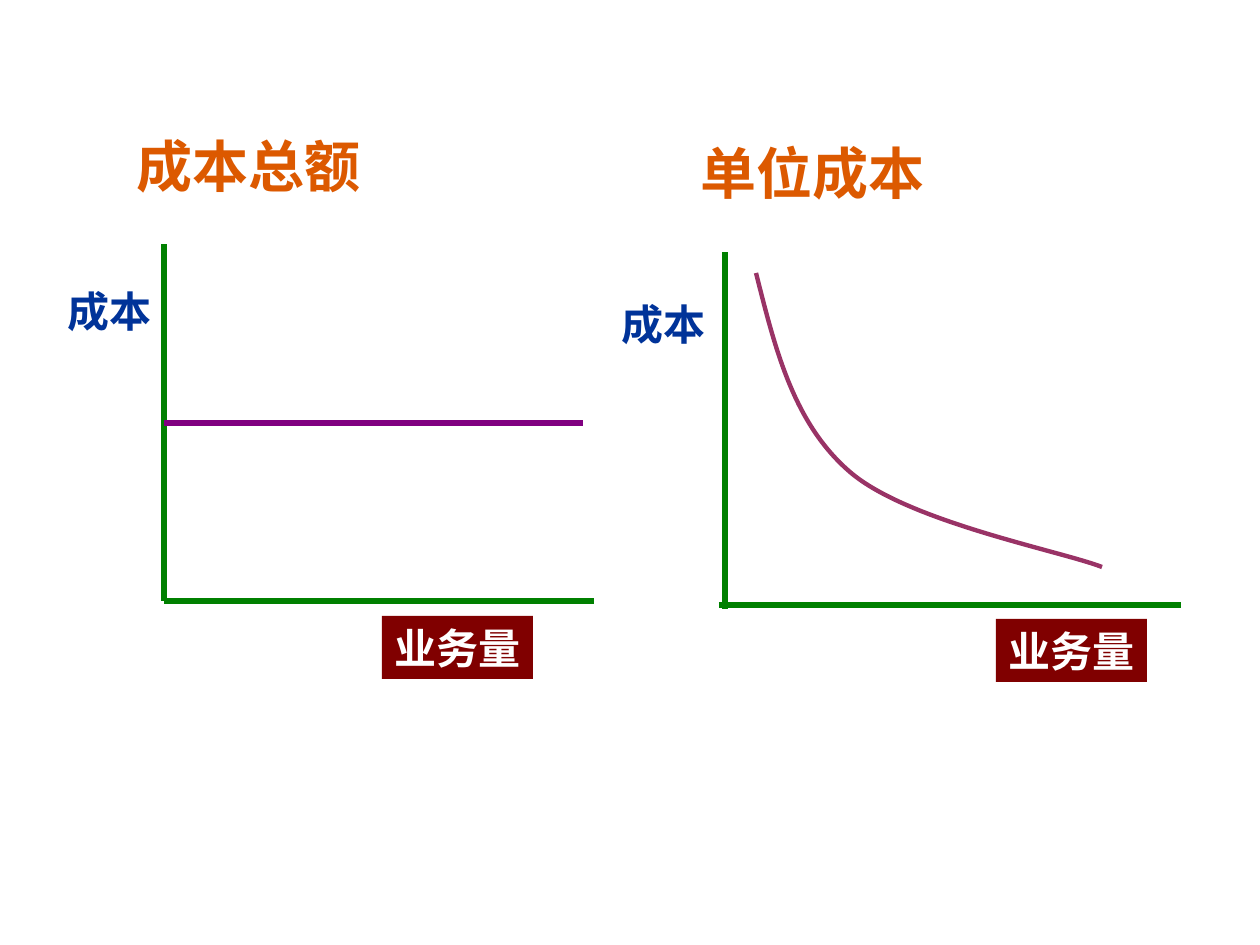
from lxml import etree
from pptx import Presentation
from pptx.dml.color import RGBColor
from pptx.enum.shapes import MSO_CONNECTOR
from pptx.enum.text import MSO_AUTO_SIZE
from pptx.oxml.ns import qn
from pptx.util import Emu, Pt

EMU_PER_PX = 914400 / 126
STRAIGHT = MSO_CONNECTOR.STRAIGHT
FIT_SHAPE = MSO_AUTO_SIZE.SHAPE_TO_FIT_TEXT

AXIS, TOTAL_COST, UNIT_COST = "008000", "800080", "993366"
TITLE, COST, VOLUME_FILL, WHITE = "DC5900", "003399", "800000", "FFFFFF"

# Each width leaves a little room so that the text stays on one line.
TITLE_SIZE, COST_SIZE, VOLUME_SIZE = (254, 81), (113, 63), (151, 63)

# Lines are x1, y1, x2, y2; text positions are left, top.
GRAPHS = [
    {
        "title": ("成本总额", (124, 125), "Noto Sans CJK JP"),
        "cost_at": (55, 279),
        "volume_at": (382, 616),
        "axes": [(164, 601, 594, 601), (164, 601, 164, 244)],
        "total_cost": (164, 423, 583, 423),
    },
    {
        "title": ("单位成本", (688, 132), "Arial"),
        "cost_at": (609, 292),
        "volume_at": (996, 619),
        "axes": [(719, 605, 1181, 605), (725, 609, 725, 252)],
        "unit_cost": [(756, 273), (775, 348), (793, 423), (850, 472),
                      (908, 522), (1061, 551), (1102, 567)],
    },
]


def px(length):
    return Emu(round(length * EMU_PER_PX))


def color(hex_string):
    return RGBColor.from_string(hex_string)


def add_line(group, ends, line_color):
    line = group.shapes.add_connector(STRAIGHT, *map(px, ends))
    line.line.color.rgb = color(line_color)
    line.line.width = Pt(3)
    etree.SubElement(line._element.spPr, qn("a:effectLst"))


def add_text(group, text, at, size, font="Arial", points=24, ink=WHITE, fill=None):
    box = group.shapes.add_textbox(*map(px, at + size))
    if fill:
        box.fill.solid()
        box.fill.fore_color.rgb = color(fill)
    frame = box.text_frame
    frame.word_wrap = False
    frame.auto_size = FIT_SHAPE
    run = frame.paragraphs[0].add_run()
    run.text = text
    run.font.name = font
    run.font.size = Pt(points)
    run.font.bold = True
    run.font.color.rgb = color(ink)


def add_curve(group, points, line_color):
    """Draw cubic Béziers: a start, then two controls and an end per segment."""
    builder = group.shapes.build_freeform(*points[0], scale=EMU_PER_PX)
    builder.add_line_segments(points[1:], close=False)
    curve = builder.convert_to_shape()
    curve.shadow.inherit = False
    curve.fill.background()
    curve.line.color.rgb = color(line_color)
    curve.line.width = Pt(2.5)
    path = next(curve._element.iter(qn("a:path")))
    steps = path.findall(qn("a:lnTo"))
    for first in range(0, len(steps), 3):
        bezier = etree.SubElement(path, qn("a:cubicBezTo"))
        for step in steps[first:first + 3]:
            bezier.append(step[0])
            path.remove(step)


def add_graph(slide, graph):
    group = slide.shapes.add_group_shape()
    for axis in graph["axes"]:
        add_line(group, axis, AXIS)
    if "total_cost" in graph:
        add_line(group, graph["total_cost"], TOTAL_COST)
    title, title_at, title_font = graph["title"]
    add_text(group, title, title_at, TITLE_SIZE, font=title_font, points=32, ink=TITLE)
    add_text(group, "成本", graph["cost_at"], COST_SIZE, ink=COST)
    add_text(group, "业务量", graph["volume_at"], VOLUME_SIZE, fill=VOLUME_FILL)
    if "unit_cost" in graph:
        add_curve(group, graph["unit_cost"], UNIT_COST)


def main():
    deck = Presentation()
    deck.slide_width, deck.slide_height = px(1260), px(945)
    slide = deck.slides.add_slide(deck.slide_layouts[6])
    for graph in GRAPHS:
        add_graph(slide, graph)
    deck.save("out.pptx")


if __name__ == "__main__":
    main()
